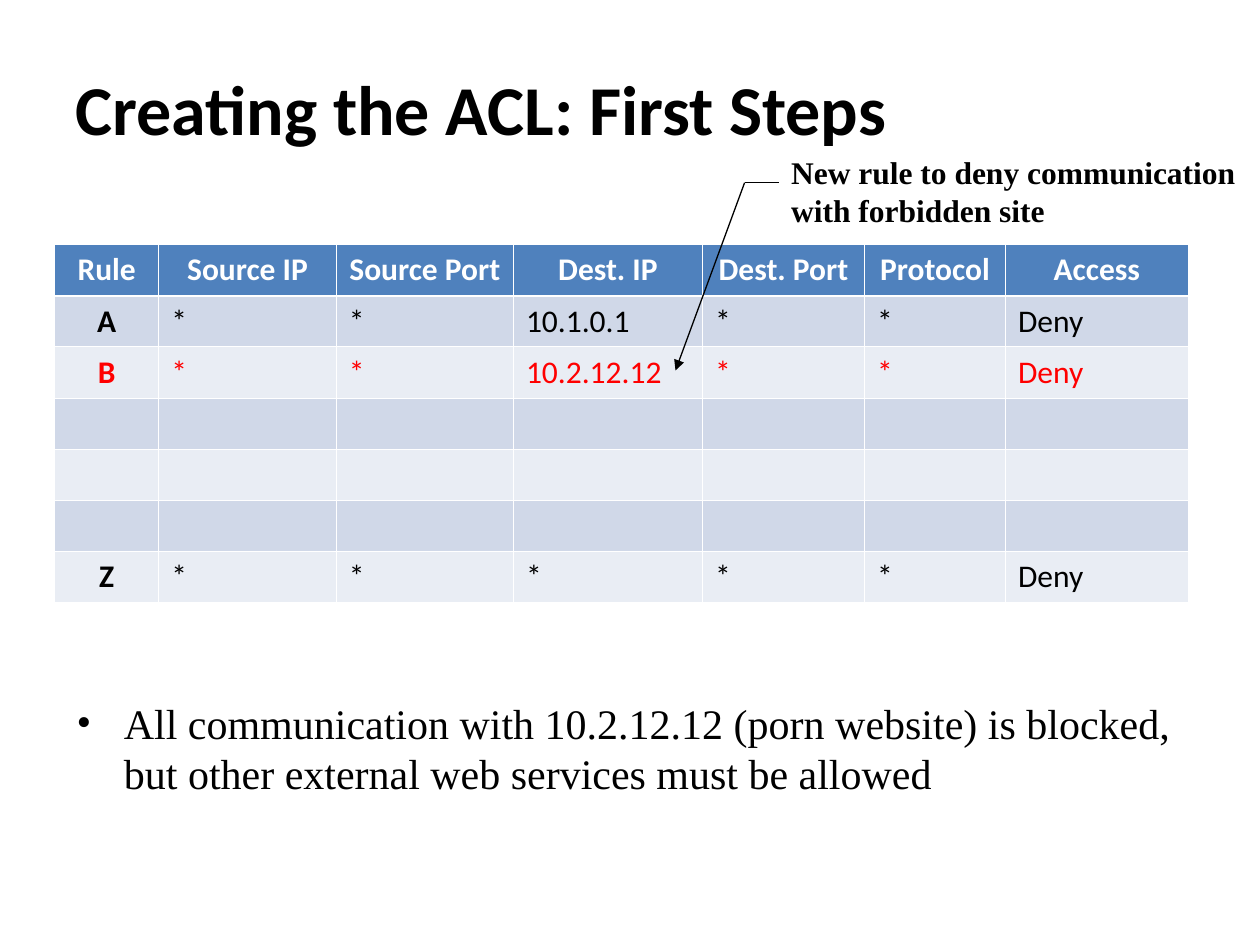
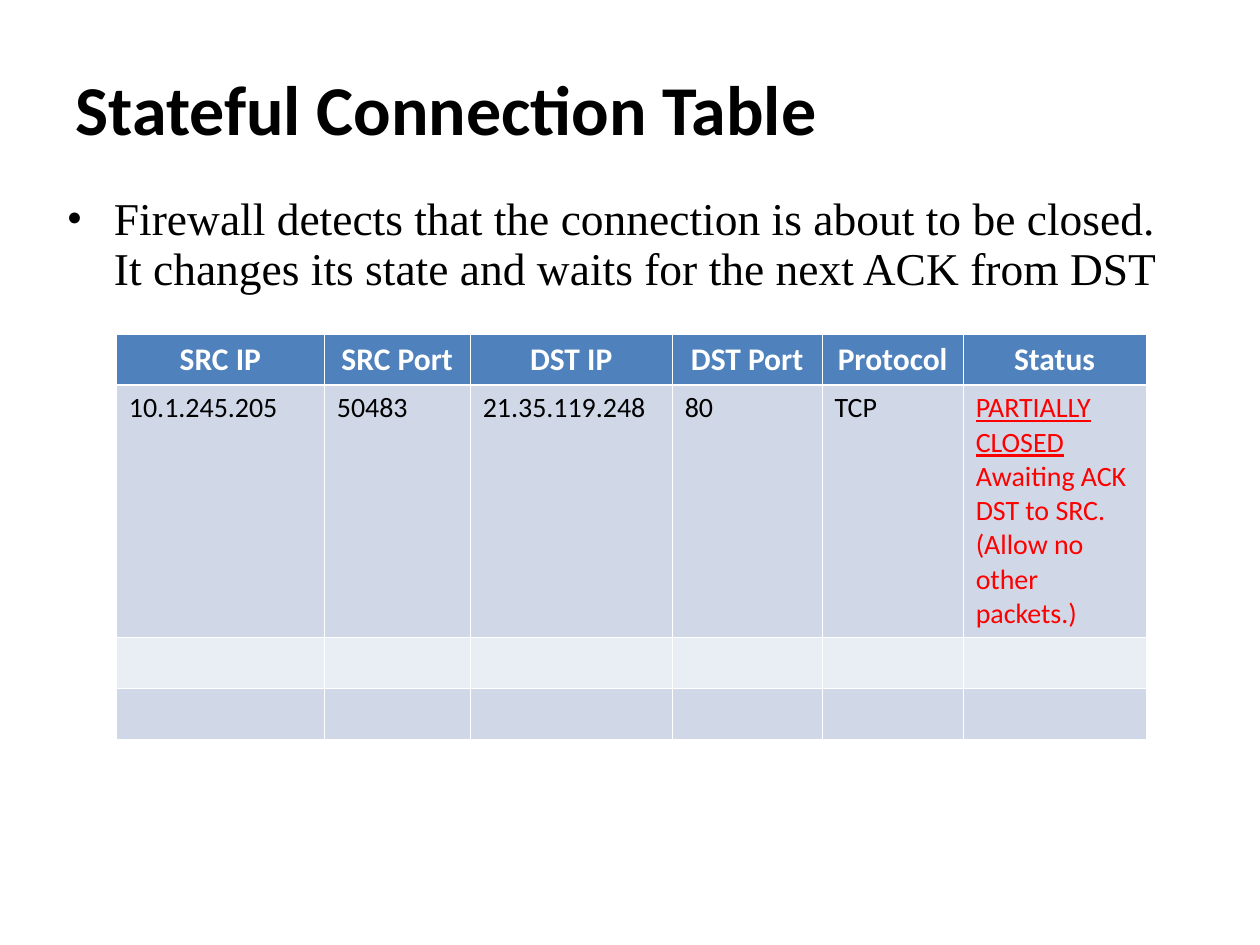
from lxml.etree import SubElement
from pptx import Presentation
from pptx.dml.color import RGBColor
from pptx.enum.shapes import MSO_CONNECTOR
from pptx.enum.text import MSO_ANCHOR, MSO_AUTO_SIZE, PP_ALIGN
from pptx.oxml.ns import qn
from pptx.util import Pt

BLACK = RGBColor(0x00, 0x00, 0x00)
WHITE = RGBColor(0xFF, 0xFF, 0xFF)
RED = RGBColor(0xFF, 0x00, 0x00)
HEADER_BLUE = RGBColor(0x4F, 0x81, 0xBD)
BANDS = RGBColor(0xD0, 0xD8, 0xE8), RGBColor(0xE9, 0xED, 0xF4)

SANS = "Calibri"
SERIF = "Times New Roman"
ROW_HEIGHT = 29.2
BULLET_INDENT = 27


def write(p, text, font=SANS, size=18, color=BLACK, bold=False,
          underline=False, align=PP_ALIGN.LEFT, spacing=None):
    p.alignment = align
    p.line_spacing = spacing
    r = p.add_run()
    r.text = text
    f = r.font
    f.name, f.size, f.bold, f.underline = font, Pt(size), bold, underline
    f.color.rgb = color


def add_title_slide(prs, title):
    s = prs.slides.add_slide(prs.slide_layouts[5])
    sp = s.shapes.title
    sp.left, sp.top, sp.width, sp.height = Pt(36), Pt(22.3), Pt(648), Pt(78.5)
    tf = sp.text_frame
    tf.auto_size = MSO_AUTO_SIZE.NONE
    tf.vertical_anchor = MSO_ANCHOR.MIDDLE
    write(tf.paragraphs[0], title, size=40, bold=True)
    return s


def add_text(s, box, text, top_inset=3.6, bullet=False, **fmt):
    sp = s.shapes.add_textbox(*map(Pt, box))
    tf = sp.text_frame
    tf.word_wrap = True
    tf.margin_top = Pt(top_inset)
    p = tf.paragraphs[0]
    if bullet:
        pPr = p._p.get_or_add_pPr()
        pPr.set("marL", str(Pt(BULLET_INDENT)))
        pPr.set("indent", str(-Pt(BULLET_INDENT)))
        SubElement(pPr, qn("a:buFont"), typeface=SERIF)
        SubElement(pPr, qn("a:buChar"), char="•")
    write(p, text, font=SERIF, **fmt)


def set_borders(cell, **widths):
    """Draw white cell borders; widths in points are keyed L, R, T, B."""
    tcPr = cell._tc.get_or_add_tcPr()
    for side, width in widths.items():
        ln = SubElement(tcPr, qn(f"a:ln{side}"), w=str(Pt(width)))
        fill = SubElement(ln, qn("a:solidFill"))
        SubElement(fill, qn("a:srgbClr"), val=str(WHITE))


def add_banded_table(s, left, top, widths, heights, rows,
                     size=18, row_names=False, red_row=None):
    """Add a table with a blue header; row_names centres and bolds column 0."""
    table = s.shapes.add_table(len(rows), len(widths), Pt(left), Pt(top),
                               Pt(sum(widths)), Pt(sum(heights))).table
    for column, width in zip(table.columns, widths):
        column.width = Pt(width)
    for i, (row, height) in enumerate(zip(rows, heights)):
        table.rows[i].height = Pt(height)
        header = i == 0
        color = WHITE if header else RED if i == red_row else BLACK
        for j in range(len(widths)):
            cell = table.cell(i, j)
            set_borders(cell, L=0.45, R=0.45, T=1.47 if i == 1 else 0.45,
                        B=1.47 if header else 0.45)
            cell.fill.solid()
            cell.fill.fore_color.rgb = HEADER_BLUE if header else BANDS[(i - 1) % 2]
            if j < len(row) and row[j]:
                strong = header or (row_names and j == 0)
                write(cell.text_frame.paragraphs[0], row[j],
                      size=18 if header else size, color=color, bold=strong,
                      align=PP_ALIGN.CENTER if strong else PP_ALIGN.LEFT)
    return table


def add_line(s, start, end, arrow=False):
    c = s.shapes.add_connector(MSO_CONNECTOR.STRAIGHT, *map(Pt, start + end))
    c.line.color.rgb = BLACK
    c.line.width = Pt(0.75)
    if arrow:
        SubElement(c.line._get_or_add_ln(), qn("a:tailEnd"), type="triangle")
    SubElement(c._element.spPr, qn("a:effectLst"))


def add_rule_callout(s, left, top, target):
    """Place a note whose bent leader points at target."""
    add_text(s, (left, top, 275, 50.4),
             "New rule to deny communication with forbidden site", bold=True)
    leader_y = top + 20.2
    elbow = (left - 19.5, leader_y)
    add_line(s, elbow, target, arrow=True)
    add_line(s, elbow, (left, leader_y))


def build_acl_slide(prs):
    s = add_title_slide(prs, "Creating the ACL: First Steps")
    rows = [
        ("Rule", "Source IP", "Source Port", "Dest. IP", "Dest. Port",
         "Protocol", "Access"),
        ("A", "*", "*", "10.1.0.1", "*", "*", "Deny"),
        ("B", "*", "*", "10.2.12.12", "*", "*", "Deny"),
        (), (), (),
        ("Z", "*", "*", "*", "*", "*", "Deny"),
    ]
    add_banded_table(s, 31.2, 139.8, (59.5, 101.5, 101.2, 108, 92.6, 80.6, 104.5),
                     [ROW_HEIGHT] * len(rows), rows, row_names=True, red_row=2)
    add_rule_callout(s, 445, 84.2, target=(386, 211.7))
    add_text(s, (36.7, 388.8, 648, 64.8),
             "All communication with 10.2.12.12 (porn website) is blocked, "
             "but other external web services must be allowed",
             top_inset=9.6, bullet=True, size=24)


def build_connection_slide(prs):
    s = add_title_slide(prs, "Stateful Connection Table")
    rows = [
        ("SRC IP", "SRC Port", "DST IP", "DST Port", "Protocol", "Status"),
        ("10.1.245.205", "50483", "21.35.119.248", "80", "TCP"),
        (), (),
    ]
    table = add_banded_table(s, 66.5, 190.8, (118.8, 83.4, 115.4, 85.7, 80.6, 104.5),
                             (ROW_HEIGHT, 144, ROW_HEIGHT, ROW_HEIGHT), rows, size=16)
    tf = table.cell(1, 5).text_frame
    write(tf.paragraphs[0], "PARTIALLY CLOSED", size=16, color=RED, underline=True)
    for line in ("Awaiting ACK", "DST to SRC. (Allow no other packets.)"):
        write(tf.add_paragraph(), line, size=16, color=RED)
    add_text(s, (31, 105.8, 648, 348.5),
             "Firewall detects that the connection is about to be closed. "
             "It changes its state and waits for the next ACK from DST",
             top_inset=6.6, bullet=True, size=26, spacing=0.9)


def main():
    prs = Presentation()
    prs.slide_width, prs.slide_height = Pt(720), Pt(540)
    build_acl_slide(prs)
    build_connection_slide(prs)
    prs.save("out.pptx")


if __name__ == "__main__":
    main()
